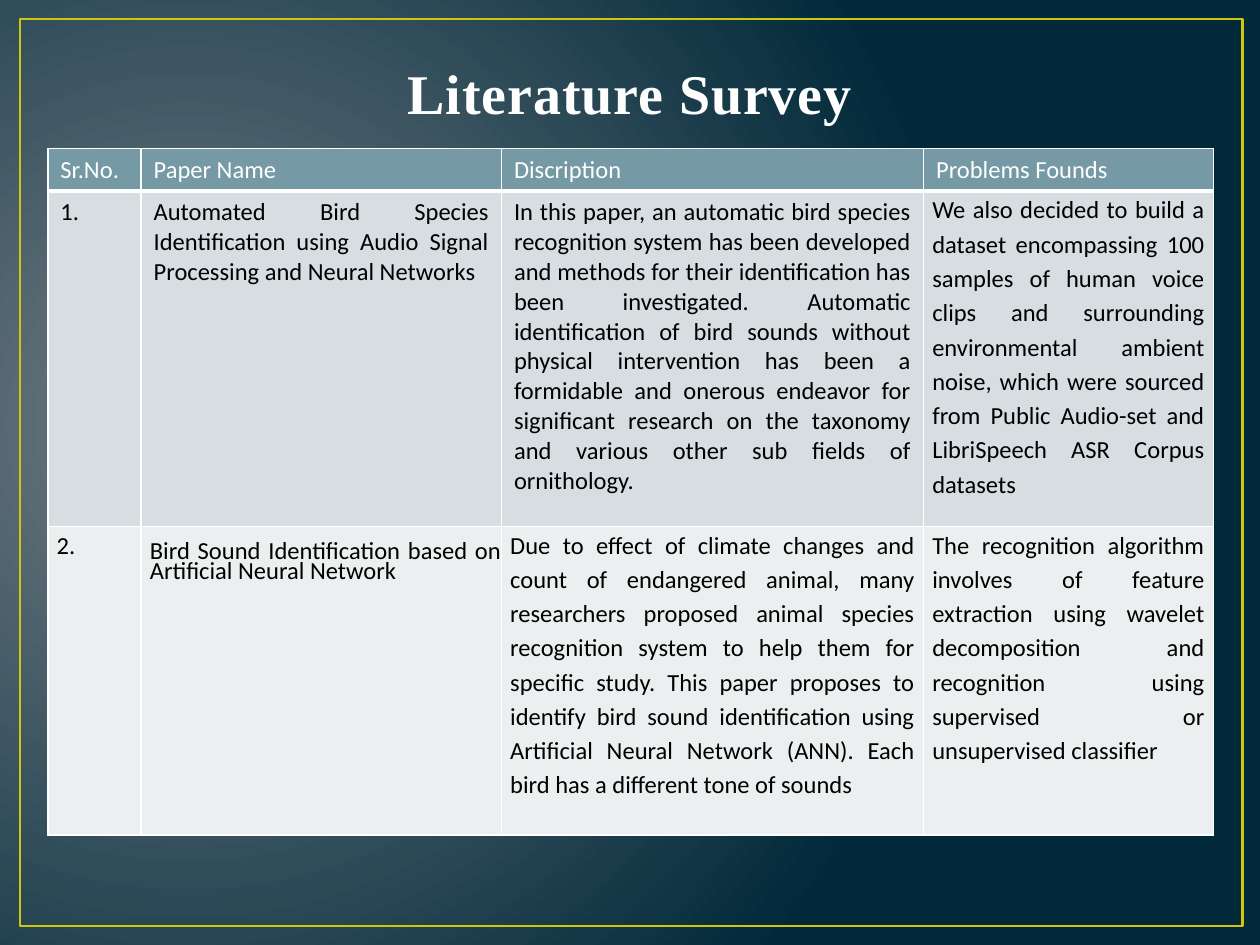
from lxml import etree
from pptx import Presentation
from pptx.dml.color import RGBColor
from pptx.enum.shapes import MSO_SHAPE
from pptx.enum.text import MSO_ANCHOR, PP_ALIGN
from pptx.oxml import parse_xml
from pptx.oxml.ns import qn
from pptx.util import Inches, Pt

RECTANGLE = MSO_SHAPE.RECTANGLE
BOTTOM = MSO_ANCHOR.BOTTOM
CENTER, LEFT, JUSTIFY = PP_ALIGN.CENTER, PP_ALIGN.LEFT, PP_ALIGN.JUSTIFY
NAMESPACE = 'xmlns:a="http://schemas.openxmlformats.org/drawingml/2006/main"'

# Content
TITLE = "Literature Survey"
ROWS = [
    ["Sr.No.", "Paper Name", "Discription", "Problems Founds"],
    [
        "1.",
        "Automated Bird Species Identification using Audio Signal Processing "
        "and Neural Networks",
        "In this paper, an automatic bird species recognition system has been "
        "developed and methods for their identification has been investigated. "
        "Automatic identification of bird sounds without physical intervention "
        "has been a formidable and onerous endeavor for significant research on "
        "the taxonomy and various other sub fields of ornithology.",
        "We also decided to build a dataset encompassing 100 samples of human "
        "voice clips and surrounding environmental ambient noise, which were "
        "sourced from Public Audio-set and LibriSpeech ASR Corpus datasets",
    ],
    [
        "2.",
        "Bird Sound Identification based on Artificial Neural Network",
        "Due to effect of climate changes and count of endangered animal, many "
        "researchers proposed animal species recognition system to help them "
        "for specific study. This paper proposes to identify bird sound "
        "identification using Artificial Neural Network (ANN). Each bird has a "
        "different tone of sounds",
        "The recognition algorithm involves of feature extraction using wavelet "
        "decomposition and recognition using supervised or unsupervised "
        "classifier",
    ],
]
COLUMN_WIDTHS = [0.74, 2.86, 3.35, 2.3]
ROW_HEIGHTS = [0.32, 2.66, 2.45]
ROW_FILLS = ["759AA5", "D6DEE1", "ECEFF0"]
ROW_TEXT_COLOURS = ["FFFFFF", "000000", "000000"]
TIGHT_CELLS = {(1, 3), (2, 0), (2, 2), (2, 3)}
PAPER_CELL = (2, 1)


def colour(value):
    return RGBColor.from_string(value)


def line_xml(tag, value, points):
    return parse_xml(
        f'<a:{tag} {NAMESPACE} w="{int(Pt(points))}"><a:solidFill>'
        f'<a:srgbClr val="{value}"/></a:solidFill></a:{tag}>')


def set_margins(cell, left, top, right, bottom):
    cell.margin_left, cell.margin_top = Inches(left), Inches(top)
    cell.margin_right, cell.margin_bottom = Inches(right), Inches(bottom)


def set_borders(cell, row):
    widths = {"lnL": 1, "lnR": 1,
              "lnT": 3 if row == 1 else 1, "lnB": 3 if row == 0 else 1}
    properties = cell._tc.get_or_add_tcPr()
    for place, (tag, points) in enumerate(widths.items()):
        properties.insert(place, line_xml(tag, "FFFFFF", points))


def fill_cell(cell, row, column):
    cell.text_frame.text = ROWS[row][column]
    paragraph = cell.text_frame.paragraphs[0]
    paragraph.alignment = JUSTIFY if row else LEFT
    if (row, column) in TIGHT_CELLS:
        set_margins(cell, 0.07, 0, 0.07, 0)
        paragraph.line_spacing = 1.15
    elif (row, column) == PAPER_CELL:
        set_margins(cell, 0.07, 0.16, 0, 0)
        paragraph.line_spacing = Pt(11.3)
    font = paragraph.runs[0].font
    font.name, font.size = "Calibri", Pt(14)
    font.bold = False
    font.color.rgb = colour(ROW_TEXT_COLOURS[row])
    cell.fill.solid()
    cell.fill.fore_color.rgb = colour(ROW_FILLS[row])
    set_borders(cell, row)


deck = Presentation()
deck.slide_width, deck.slide_height = Inches(10), Inches(7.5)
page = deck.slides.add_slide(deck.slide_layouts[5])

# Background: radial gradient
background = page.background.fill
background.gradient()
for stop, value in zip(background.gradient_stops, ["717C84", "01293A"]):
    stop.color.rgb = colour(value)
gradient = page.element.find(".//" + qn("a:gradFill"))
gradient.remove(gradient.find(qn("a:lin")))
circle = etree.SubElement(gradient, qn("a:path"), path="circle")
etree.SubElement(circle, qn("a:fillToRect"),
                 l="15000", t="50000", r="85000", b="60000")

# Frame, behind the title
title = page.shapes.title
frame = page.shapes.add_shape(
    RECTANGLE, Inches(0.16), Inches(0.15), Inches(9.7), Inches(7.2))
frame.shadow.inherit = False
frame.fill.background()
frame.line.color.rgb = colour("CFC60D")
frame.line.width = Pt(1.5)
title.element.addprevious(frame.element)

# Title
title.left, title.top = Inches(0.5), Inches(0.33)
title.width, title.height = Inches(9), Inches(1.25)
title.text_frame.text = TITLE
title.text_frame.vertical_anchor = BOTTOM
title.text_frame.margin_bottom = Inches(0.58)
heading = title.text_frame.paragraphs[0]
heading.alignment = CENTER
span = heading.runs[0]
span.font.name, span.font.size, span.font.bold = "Times New Roman", Pt(32), True
span.font.color.rgb = colour("FEFEFE")
span_properties = span.font._element
span_properties.set("spc", "50")
span_properties.insert(0, line_xml("ln", "384F55", 1.05))

# Survey table
table = page.shapes.add_table(
    len(ROWS), len(COLUMN_WIDTHS), Inches(0.38), Inches(1.18),
    Inches(sum(COLUMN_WIDTHS)), Inches(sum(ROW_HEIGHTS))).table
for column, width in zip(table.columns, COLUMN_WIDTHS):
    column.width = Inches(width)
for row, height in zip(table.rows, ROW_HEIGHTS):
    row.height = Inches(height)
for row in range(len(ROWS)):
    for column in range(len(COLUMN_WIDTHS)):
        fill_cell(table.cell(row, column), row, column)

deck.save("out.pptx")
